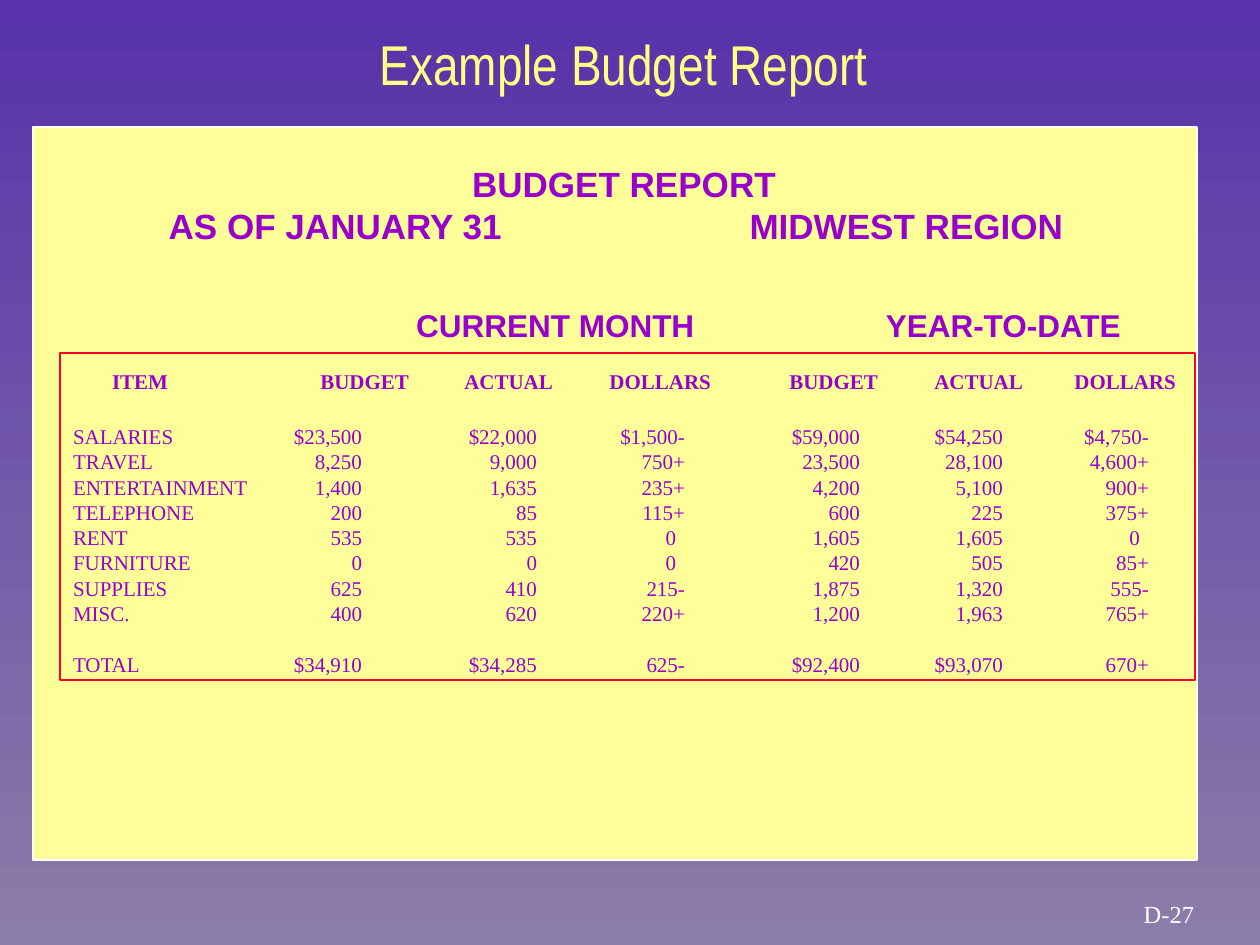
from dataclasses import dataclass

from lxml import etree
from pptx import Presentation
from pptx.dml.color import RGBColor
from pptx.enum.shapes import MSO_SHAPE
from pptx.enum.text import MSO_ANCHOR, MSO_AUTO_SIZE, PP_ALIGN
from pptx.oxml.ns import qn
from pptx.util import Emu, Pt

RECTANGLE = MSO_SHAPE.RECTANGLE
TOP, MIDDLE, BOTTOM = MSO_ANCHOR.TOP, MSO_ANCHOR.MIDDLE, MSO_ANCHOR.BOTTOM
LEFT, CENTER, RIGHT = PP_ALIGN.LEFT, PP_ALIGN.CENTER, PP_ALIGN.RIGHT
NO_FIT = MSO_AUTO_SIZE.NONE
TITLE_ONLY = 5
SLIDE_W, SLIDE_H = 1260, 945


@dataclass(frozen=True)
class Theme:
    sky: str = "5732AA"
    haze: str = "8B7DA9"
    paper: str = "FFFF99"
    title: str = "FFFF85"
    ink: str = "9900CC"
    frame: str = "FC0128"
    white: str = "FFFFFF"
    title_font: str = "Arial Narrow"
    heading_font: str = "Arial"
    body_font: str = "Times New Roman"
    title_size: int = 32
    heading_size: int = 20
    caption_size: int = 18
    page_size: int = 14
    table_size: int = 12


THEME = Theme()

HEADERS = ["ITEM"] + ["BUDGET", "ACTUAL", "DOLLARS"] * 2
ROWS = [
    ["SALARIES", "$23,500", "$22,000", "$1,500-", "$59,000", "$54,250", "$4,750-"],
    ["TRAVEL", "8,250", "9,000", "750+", "23,500", "28,100", "4,600+"],
    ["ENTERTAINMENT", "1,400", "1,635", "235+", "4,200", "5,100", "900+"],
    ["TELEPHONE", "200", "85", "115+", "600", "225", "375+"],
    ["RENT", "535", "535", "0", "1,605", "1,605", "0"],
    ["FURNITURE", "0", "0", "0", "420", "505", "85+"],
    ["SUPPLIES", "625", "410", "215-", "1,875", "1,320", "555-"],
    ["MISC.", "400", "620", "220+", "1,200", "1,963", "765+"],
    ["TOTAL", "$34,910", "$34,285", "625-", "$92,400", "$93,070", "670+"],
]
COLUMN_WIDTHS = [197, 139, 144, 158, 167, 145, 153]
VALUE_INSETS = [0, 47, 16, 26, 18, 20, 27]
ITEM_HEADER_INDENT = 39
SIGN_WIDTH = 9
HEADER_H, ROW_H, TOTAL_H = 53, 25, 51


def px(length):
    return Emu(round(length * 914400 / 126))


def box_emu(box):
    return [px(length) for length in box]


def rgb(code):
    return RGBColor.from_string(code)


def add_run(paragraph, text, font, size, color, bold=False):
    run = paragraph.add_run()
    run.text = text
    run.font.name = font
    run.font.size = Pt(size)
    run.font.color.rgb = rgb(color)
    run.font.bold = bold


def center_tabs(paragraph, positions):
    """Add centred tab stops, measured from the left edge of the text."""
    tabs = etree.SubElement(paragraph._p.get_or_add_pPr(), qn("a:tabLst"))
    for position in positions:
        etree.SubElement(tabs, qn("a:tab"), pos=str(px(position)), algn="ctr")


def add_panel(slide, box, line, fill=None):
    panel = slide.shapes.add_shape(RECTANGLE, *box_emu(box))
    panel.shadow.inherit = False
    if fill:
        panel.fill.solid()
        panel.fill.fore_color.rgb = rgb(fill)
    else:
        panel.fill.background()
    panel.line.color.rgb = rgb(line)
    panel.line.width = Pt(1)


def add_text_frame(slide, box):
    frame = slide.shapes.add_textbox(*box_emu(box)).text_frame
    frame.word_wrap = True
    return frame


def paint_background(slide):
    fill = slide.background.fill
    fill.gradient()
    fill.gradient_angle = 270
    for stop, position, color in zip(fill.gradient_stops, (0, 1), (THEME.sky, THEME.haze)):
        stop.position = position
        stop.color.rgb = rgb(color)


def place_title(slide, box):
    title = slide.shapes.title
    title.left, title.top, title.width, title.height = box_emu(box)
    frame = title.text_frame
    frame.auto_size = NO_FIT
    frame.vertical_anchor = MIDDLE
    paragraph = frame.paragraphs[0]
    paragraph.alignment = CENTER
    add_run(paragraph, "Example Budget Report", THEME.title_font, THEME.title_size, THEME.title)


def add_report_heading(slide, box):
    frame = add_text_frame(slide, box)
    name = frame.paragraphs[0]
    name.alignment = CENTER
    scope = frame.add_paragraph()
    center_tabs(scope, (235, 806))
    lines = (name, "BUDGET REPORT"), (scope, "\tAS OF JANUARY 31\tMIDWEST REGION")
    for paragraph, text in lines:
        add_run(paragraph, text, THEME.heading_font, THEME.heading_size, THEME.ink, True)


def add_period_captions(slide, box):
    captions = add_text_frame(slide, box).paragraphs[0]
    center_tabs(captions, (147, 595))
    add_run(captions, "\tCURRENT MONTH\tYEAR-TO-DATE",
            THEME.heading_font, THEME.caption_size, THEME.ink, True)


def clear_cell(cell):
    """Remove the borders, fill and margins given by the table style."""
    properties = cell._tc.get_or_add_tcPr()
    for side in ("lnL", "lnR", "lnT", "lnB"):
        border = etree.SubElement(properties, qn(f"a:{side}"), w="0")
        etree.SubElement(border, qn("a:noFill"))
    cell.fill.background()
    cell.margin_left = cell.margin_right = cell.margin_top = cell.margin_bottom = 0


def value_inset(column, value):
    """Hang a trailing sign so that the digits of a column line up."""
    unsigned_variance = HEADERS[column] == "DOLLARS" and value[-1] not in "+-"
    return VALUE_INSETS[column] + (SIGN_WIDTH if unsigned_variance else 0)


def add_budget_table(slide, box):
    left, top, width, height = box
    add_panel(slide, box, THEME.frame)
    heights = [HEADER_H] + [ROW_H] * (len(ROWS) - 1) + [TOTAL_H]
    table_box = left + 13, top + 18, sum(COLUMN_WIDTHS), sum(heights)
    table = slide.shapes.add_table(len(heights), len(HEADERS), *box_emu(table_box)).table
    table.first_row = table.horz_banding = False
    for column, column_width in zip(table.columns, COLUMN_WIDTHS):
        column.width = px(column_width)
    for r, (values, row_height) in enumerate(zip([HEADERS] + ROWS, heights)):
        table.rows[r].height = px(row_height)
        is_header = r == 0
        for c, value in enumerate(values):
            cell = table.cell(r, c)
            clear_cell(cell)
            cell.vertical_anchor = TOP if is_header else BOTTOM
            if is_header and c == 0:
                cell.margin_left = px(ITEM_HEADER_INDENT)
            elif not is_header and c > 0:
                cell.margin_right = px(value_inset(c, value))
            paragraph = cell.text_frame.paragraphs[0]
            paragraph.alignment = RIGHT if c else LEFT
            add_run(paragraph, value, THEME.body_font, THEME.table_size, THEME.ink, is_header)


def add_page_label(slide, box):
    frame = add_text_frame(slide, box)
    frame.vertical_anchor = MIDDLE
    label = frame.paragraphs[0]
    label.alignment = CENTER
    add_run(label, "D-27", THEME.body_font, THEME.page_size, THEME.white)


def main():
    deck = Presentation()
    deck.slide_width, deck.slide_height = px(SLIDE_W), px(SLIDE_H)
    slide = deck.slides.add_slide(deck.slide_layouts[TITLE_ONLY])
    paint_background(slide)
    place_title(slide, (299, 23, 650, 81))
    add_panel(slide, (33, 127, 1164, 733), THEME.white, THEME.paper)
    add_report_heading(slide, (88, 156, 1072, 96))
    add_period_captions(slide, (396, 300, 742, 50))
    add_budget_table(slide, (60, 353, 1135, 327))
    add_page_label(slide, (1092, 892, 154, 43))
    deck.save("out.pptx")


if __name__ == "__main__":
    main()
